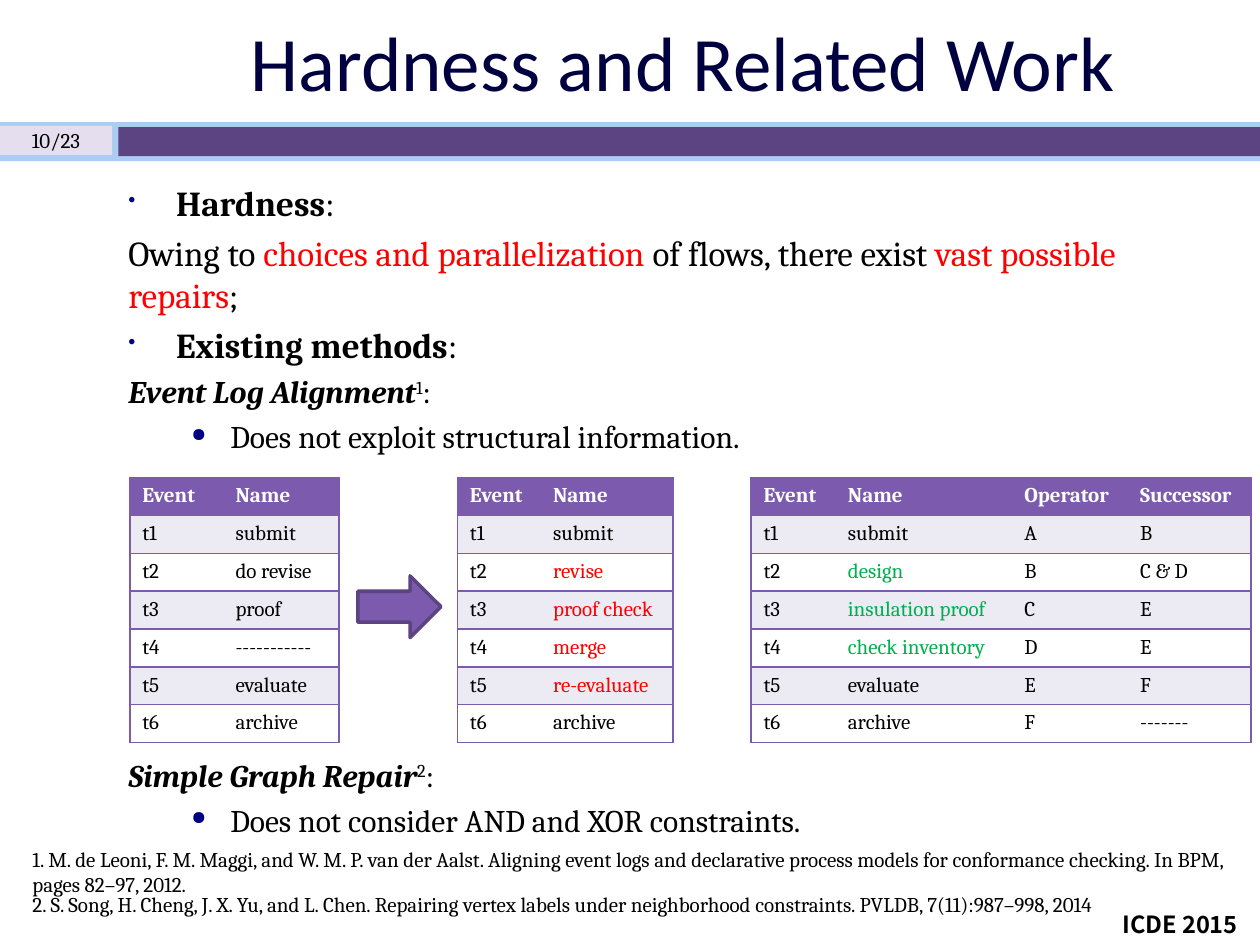
from lxml import etree
from pptx import Presentation
from pptx.dml.color import RGBColor
from pptx.enum.shapes import MSO_SHAPE
from pptx.enum.text import MSO_ANCHOR, MSO_AUTO_SIZE, PP_ALIGN
from pptx.oxml.ns import qn
from pptx.util import Inches, Pt

RECTANGLE = MSO_SHAPE.RECTANGLE
RIGHT_ARROW = MSO_SHAPE.RIGHT_ARROW
MIDDLE = MSO_ANCHOR.MIDDLE
CENTER = PP_ALIGN.CENTER
LEFT = PP_ALIGN.LEFT
NO_AUTOFIT = MSO_AUTO_SIZE.NONE

COLORS = {
    "title": "000040", "text": "000000", "white": "FFFFFF",
    "red": "FF0000", "green": "00B050", "bullet": "000082",
    "sky": "ABCDF4", "lilac": "E5DEEF", "plum": "5C4381",
    "purple": "7C5BAE", "band": "ECEAF2",
}
SERIF = "Cambria"
ROW_HEIGHT = 0.3
TABLE_TOP = 3.79

# Each paragraph: size, space before, bullet (character, indent, hanging) and spans.
HEADING_BULLET = ("•", 0.38, 0.38)
POINT_BULLET = ("●", 0.81, 0.31)
BODY = [
    (20, 0, HEADING_BULLET, [("Hardness", "bold"), (":", "")]),
    (20, 4.5, None, [
        ("Owing to ", ""), ("choices and parallelization", "red"),
        (" of flows, there exist ", ""), ("vast possible repairs", "red"), (";", "")]),
    (20, 4.5, HEADING_BULLET, [("Existing methods", "bold"), (":", "")]),
    (18, 4, None, [("Event Log Alignment", "bold italic"), ("1", "super"), (":", "")]),
    (18, 4, POINT_BULLET, [("Does not exploit structural information.", "")]),
    (18, 172, None, [("Simple Graph Repair", "bold italic"), ("2", "super"), (":", "")]),
    (18, 4, POINT_BULLET, [("Does not consider AND and XOR constraints.", "")]),
]

# Each table: left edge, column widths, highlight colour, highlighted names and rows.
TABLES = [
    (1.03, [0.74, 0.92], "text", [], [
        ["Event", "Name"], ["t1", "submit"], ["t2", "do revise"], ["t3", "proof"],
        ["t4", "-----------"], ["t5", "evaluate"], ["t6", "archive"]]),
    (3.63, [0.66, 1.05], "red", ["revise", "proof check", "merge", "re-evaluate"], [
        ["Event", "Name"], ["t1", "submit"], ["t2", "revise"], ["t3", "proof check"],
        ["t4", "merge"], ["t5", "re-evaluate"], ["t6", "archive"]]),
    (5.96, [0.67, 1.4, 0.92, 0.98], "green",
     ["design", "insulation proof", "check inventory"], [
        ["Event", "Name", "Operator", "Successor"],
        ["t1", "submit", "A", "B"],
        ["t2", "design", "B", "C & D"],
        ["t3", "insulation proof", "C", "E"],
        ["t4", "check inventory", "D", "E"],
        ["t5", "evaluate", "E", "F"],
        ["t6", "archive", "F", "-------"]]),
]

FOOTNOTES = [
    (6.67, 0.5, "1. M. de Leoni, F. M. Maggi, and W. M. P. van der Aalst. Aligning event logs "
     "and declarative process models for conformance checking. In BPM, pages 82–97, 2012."),
    (7.03, 0.3, "2. S. Song, H. Cheng, J. X. Yu, and L. Chen. Repairing vertex labels under "
     "neighborhood constraints. PVLDB, 7(11):987–998, 2014"),
]


def rgb(color):
    return RGBColor.from_string(COLORS[color])


def style_font(font, size, color="text", name=SERIF, bold=False):
    font.size = Pt(size)
    font.name = name
    font.bold = bold
    font.color.rgb = rgb(color)


def add_title(page, text):
    title = page.shapes.title
    title.left, title.top = Inches(0.92), Inches(0.03)
    title.width, title.height = Inches(9), Inches(0.9)
    frame = title.text_frame
    frame.text = text
    frame.auto_size = NO_AUTOFIT
    frame.vertical_anchor = MIDDLE
    para = frame.paragraphs[0]
    para.alignment = CENTER
    style_font(para.runs[0].font, 44, "title", "Calibri")


def add_shape(page, kind, left, top, width, height, fill, line=None):
    shape = page.shapes.add_shape(
        kind, Inches(left), Inches(top), Inches(width), Inches(height))
    shape.shadow.inherit = False
    shape.fill.solid()
    shape.fill.fore_color.rgb = rgb(fill)
    if line:
        shape.line.color.rgb = rgb(line)
        shape.line.width = Pt(2)
    else:
        shape.line.fill.background()


def add_box(page, left, top, width, height, wrap=True):
    box = page.shapes.add_textbox(Inches(left), Inches(top), Inches(width), Inches(height))
    box.text_frame.word_wrap = wrap
    return box.text_frame


def add_label(page, left, top, width, height, text, size=12, align=LEFT,
              name=SERIF, bold=False, wrap=True):
    frame = add_box(page, left, top, width, height, wrap)
    frame.text = text
    para = frame.paragraphs[0]
    para.alignment = align
    style_font(para.runs[0].font, size, name=name, bold=bold)
    return frame


def add_bullet(para, character, indent, hanging):
    properties = para._p.get_or_add_pPr()
    properties.set("marL", str(Inches(indent)))
    properties.set("indent", str(-Inches(hanging)))
    color = etree.SubElement(properties, qn("a:buClr"))
    etree.SubElement(color, qn("a:srgbClr"), val=COLORS["bullet"])
    etree.SubElement(properties, qn("a:buSzPct"), val="60000")
    etree.SubElement(properties, qn("a:buChar"), char=character)


def add_body(page):
    frame = add_box(page, 0.92, 1.39, 8.67, 5.79)
    for index, (size, space, bullet, spans) in enumerate(BODY):
        para = frame.add_paragraph() if index else frame.paragraphs[0]
        if bullet:
            add_bullet(para, *bullet)
        para.space_before = Pt(space)
        for text, style in spans:
            span = para.add_run()
            span.text = text
            style_font(span.font, size, "red" if style == "red" else "text",
                       bold="bold" in style)
            span.font.italic = "italic" in style
            if style == "super":
                span._r.get_or_add_rPr().set("baseline", "30000")


def set_borders(cell, first, last):
    """Rule above and below the cell, and at its sides only on the table's edge."""
    properties = cell._tc.get_or_add_tcPr()
    for side, drawn in (("L", first), ("R", last), ("T", True), ("B", True)):
        line = etree.SubElement(properties, qn("a:ln" + side), w=str(Pt(1)))
        if drawn:
            fill = etree.SubElement(line, qn("a:solidFill"))
            etree.SubElement(fill, qn("a:srgbClr"), val=COLORS["purple"])
        else:
            etree.SubElement(line, qn("a:noFill"))


def add_event_table(page, left, widths, highlight, changed, rows):
    table = page.shapes.add_table(
        len(rows), len(widths), Inches(left), Inches(TABLE_TOP),
        Inches(sum(widths)), Inches(ROW_HEIGHT * len(rows))).table
    for column, width in zip(table.columns, widths):
        column.width = Inches(width)
    for row_index, row in enumerate(rows):
        table.rows[row_index].height = Inches(ROW_HEIGHT)
        header = row_index == 0
        fill = "purple" if header else "band" if row_index % 2 else "white"
        for column_index, text in enumerate(row):
            cell = table.cell(row_index, column_index)
            set_borders(cell, column_index == 0, column_index == len(row) - 1)
            cell.fill.solid()
            cell.fill.fore_color.rgb = rgb(fill)
            cell.text_frame.text = text
            color = "white" if header else highlight if text in changed else "text"
            style_font(cell.text_frame.paragraphs[0].runs[0].font, 12, color, bold=header)


def main():
    deck = Presentation()
    deck.slide_width, deck.slide_height = Inches(10), Inches(7.5)
    page = deck.slides.add_slide(deck.slide_layouts[5])

    add_shape(page, RECTANGLE, 0, 0.97, 10, 0.31, "sky")
    add_shape(page, RECTANGLE, 0, 1, 0.89, 0.23, "lilac")
    add_shape(page, RECTANGLE, 0.94, 1.01, 9.06, 0.23, "plum")
    add_title(page, "Hardness and Related Work")
    page_number = add_label(page, 0, 0.96, 0.89, 0.31, "10/23", align=CENTER)
    page_number.vertical_anchor = MIDDLE

    add_body(page)
    for top, height, text in FOOTNOTES:
        add_label(page, 0.16, top, 9.77, height, text)
    for table in TABLES:
        add_event_table(page, *table)
    add_shape(page, RIGHT_ARROW, 2.84, 4.57, 0.66, 0.49, "purple", "plum")
    add_label(page, 8.81, 7.17, 1.18, 0.33, "ICDE 2015", 13.5,
              name="Noto Sans CJK SC", bold=True, wrap=False)
    deck.save("out.pptx")


if __name__ == "__main__":
    main()
